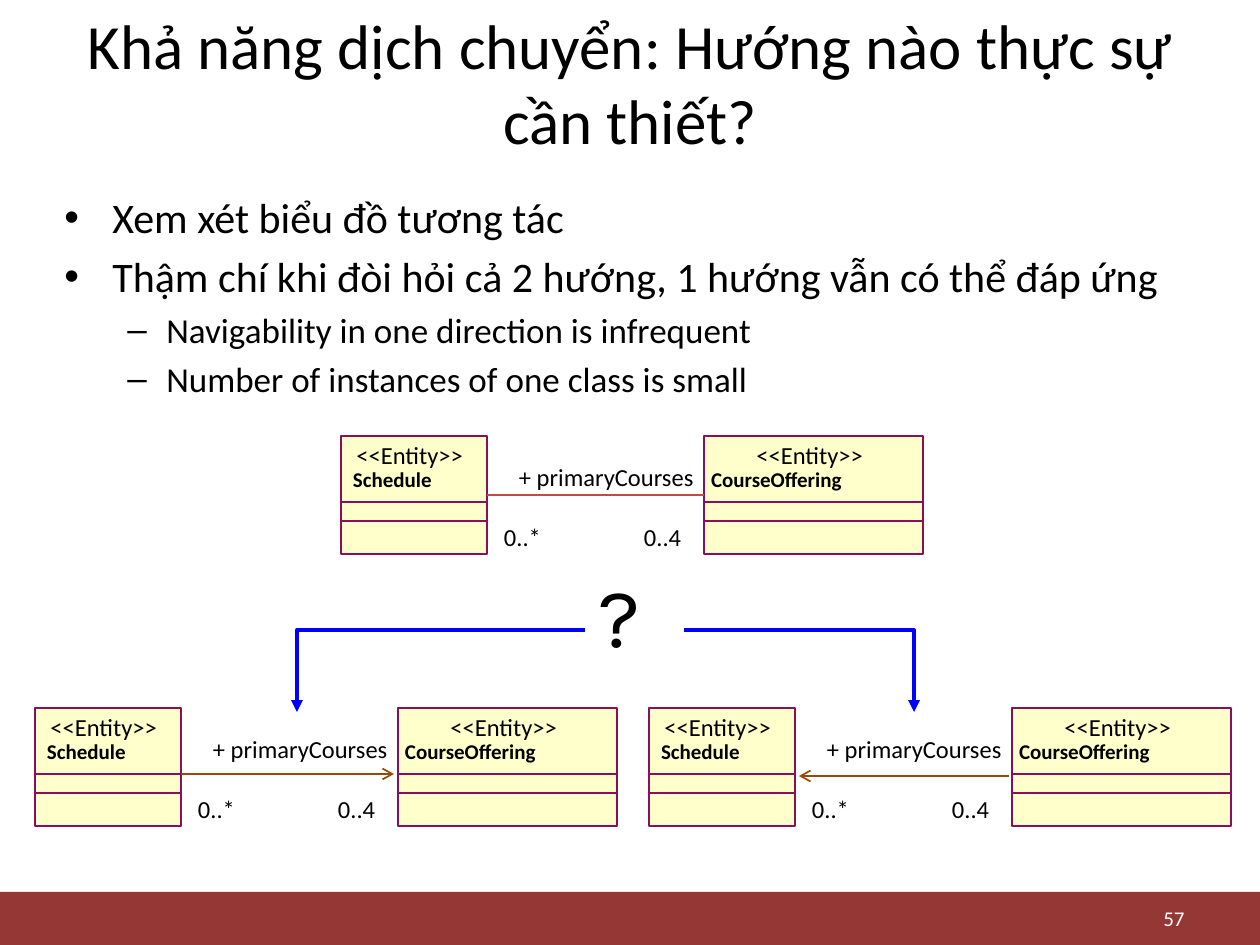
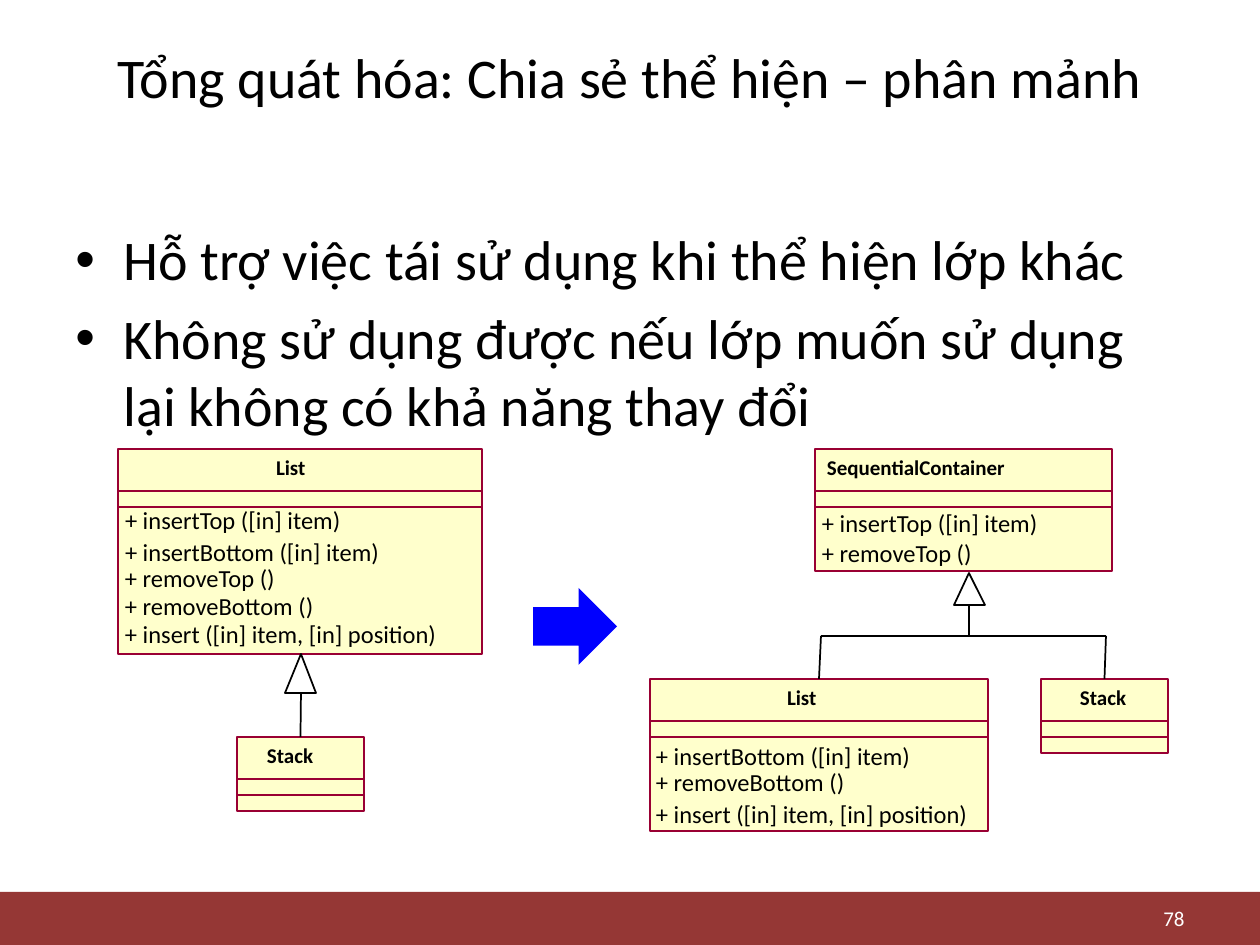
"""Build two slides on navigability and generalization in class diagrams."""
import lxml.etree
import pptx
import pptx.dml.color
import pptx.enum.shapes
import pptx.enum.text
import pptx.oxml.ns
import pptx.util

SCALE = 914400 / 126
BLACK, WHITE, BLUE, CREAM = "000000", "FFFFFF", "0000FF", "FFFFCC"
BAND, PLUM, CRIMSON, BROWN, ROSE = "953735", "8A0E5E", "990033", "984807", "BF4C48"
color = pptx.dml.color.RGBColor.from_string
qn = pptx.oxml.ns.qn
SHAPES = pptx.enum.shapes.MSO_SHAPE
ALIGN = pptx.enum.text.PP_ALIGN
GROW = pptx.enum.text.MSO_AUTO_SIZE.SHAPE_TO_FIT_TEXT
MIDDLE = {"vertical_anchor": pptx.enum.text.MSO_ANCHOR.MIDDLE}
TIGHT = {"margin_left": 0, "margin_top": 0, "margin_right": 0, "margin_bottom": 0,
         "word_wrap": False, "auto_size": GROW}
GROWING = {"auto_size": GROW}
NAME = {"size": pptx.util.Pt(12), "bold": True}
LABEL = {"size": pptx.util.Pt(14)}


def add_text(page, place, lines, font, frame, align=ALIGN.LEFT, ink=BLACK):
    box = page.shapes.add_textbox(*(round(value * SCALE) for value in place))
    for name, value in ({"word_wrap": True} | frame).items():
        setattr(box.text_frame, name, value)
    for index, line in enumerate(lines):
        para = box.text_frame.add_paragraph() if index else box.text_frame.paragraphs[0]
        para.alignment = align
        span = para.add_run()
        span.text = line
        for name, value in ({"name": "Calibri"} | font).items():
            setattr(span.font, name, value)
        span.font.color.rgb = color(ink)
    return box


def add_line(page, start, end, ink, width):
    line = page.shapes.add_connector(
        pptx.enum.shapes.MSO_CONNECTOR.STRAIGHT,
        *(round(value * SCALE) for value in (*start, *end)))
    line.line.color.rgb = color(ink)
    line.line.width = pptx.util.Pt(width)
    lxml.etree.SubElement(line.element.spPr, qn("a:effectLst"))
    return line


deck = pptx.Presentation()
deck.slide_width = pptx.util.Inches(10)
deck.slide_height = pptx.util.Inches(7.5)

contents = [
    ("Khả năng dịch chuyển: Hướng nào thực sự cần thiết?", 36, 38, "57",
     (52, 186, 1160, 696), 6,
     [("Xem xét biểu đồ tương tác", 0, 24),
      ("Thậm chí khi đòi hỏi cả 2 hướng, 1 hướng vẫn có thể đáp ứng", 0, 24),
      ("Navigability in one direction is infrequent", 1, 20),
      ("Number of instances of one class is small", 1, 20)]),
    ("Tổng quát hóa: Chia sẻ thể hiện – phân mảnh", 32, 32, "78",
     (63, 135, 1134, 709), 90,
     [("Hỗ trợ việc tái sử dụng khi thể hiện lớp khác", 0, 32),
      ("Không sử dụng được nếu lớp muốn sử dụng lại không có khả năng thay đổi", 0, 32)]),
]
bullet_styles = [("•", 48, 48), ("–", 102, 39)]

for title, title_size, title_top, number, place, inset, bullets in contents:
    page = deck.slides.add_slide(deck.slide_layouts[6])
    band = page.shapes.add_shape(
        SHAPES.RECTANGLE, *(round(value * SCALE) for value in (0, 892, 1260, 53)))
    band.shadow.inherit = False
    band.fill.solid()
    band.fill.fore_color.rgb = color(BAND)
    band.line.fill.background()
    add_text(page, (63, title_top, 1134, 88), [title],
             {"size": pptx.util.Pt(title_size)}, MIDDLE, ALIGN.CENTER)
    body = add_text(page, place, [text for text, level, size in bullets], {},
                    {"margin_top": round(inset * SCALE)})
    for index, (para, (text, level, size)) in enumerate(zip(body.text_frame.paragraphs, bullets)):
        mark, indent, hanging = bullet_styles[level]
        para.level = level
        properties = para._p.get_or_add_pPr()
        properties.set("marL", str(round(indent * SCALE)))
        properties.set("indent", str(round(-hanging * SCALE)))
        lxml.etree.SubElement(properties, qn("a:buFont"), typeface="Arial")
        lxml.etree.SubElement(properties, qn("a:buChar"), char=mark)
        para.space_before = pptx.util.Pt(size * 0.2 if index else 0)
        para.runs[0].font.size = pptx.util.Pt(size)
    add_text(page, (903, 901, 294, 34), [number], {"size": pptx.util.Pt(12)},
             MIDDLE, ALIGN.RIGHT, WHITE)

navigability, generalization = deck.slides

diagrams = [(341, 436), (35, 708), (649, 708)]
class_boxes = [
    (navigability, (left + shift, top, width, 118), (66, 85), PLUM, 0.75)
    for left, top in diagrams for shift, width in ((0, 146), (363, 219))]
class_boxes += [
    (generalization, place, (42, 58), CRIMSON, 1)
    for place in ((118, 449, 364, 205), (237, 737, 127, 74), (815, 449, 297, 122),
                  (650, 679, 338, 152), (1041, 679, 127, 74))]
classes = []
for page, place, dividers, ink, width in class_boxes:
    box = page.shapes.add_shape(SHAPES.RECTANGLE, *(round(value * SCALE) for value in place))
    box.shadow.inherit = False
    box.fill.solid()
    box.fill.fore_color.rgb = color(CREAM)
    box.line.color.rgb = color(ink)
    box.line.width = pptx.util.Pt(width)
    classes.append(box)
    left, top, span_width, height = place
    for divider in dividers:
        add_line(page, (left, top + divider), (left + span_width, top + divider), ink, width)

for left, top in diagrams:
    for shift, drop, width, text in ((12, 31, 79, "Schedule"), (370, 31, 132, "CourseOffering")):
        add_text(navigability, (left + shift, top + drop, width, 25), [text], NAME, TIGHT)
    for shift in (3, 403):
        add_text(navigability, (left + shift, top - 2, 145, 43), ["<<Entity>>"], LABEL, GROWING)
    for shift, text in ((163, "0..*"), (303, "0..4")):
        add_text(navigability, (left + shift, top + 86, 38, 30), [text], LABEL, TIGHT)
    add_text(navigability, (left + 131, top + 20, 234, 43), ["+ primaryCourses"],
             LABEL, GROWING, ALIGN.RIGHT)

association = add_line(navigability, (487, 495), (704, 495), ROSE, 0.75)
association.begin_connect(classes[0], 3)
association.end_connect(classes[1], 1)
forward = add_line(navigability, (181, 774), (394, 774), BROWN, 1)
backward = add_line(navigability, (799, 776), (1009, 776), BROWN, 1)
arrowheads = [(forward, "a:tailEnd", "arrow"), (backward, "a:headEnd", "arrow")]

add_text(navigability, (586, 557, 98, 115), ["?"],
         {"size": pptx.util.Pt(48), "name": "Karla"}, GROWING)

outlines = [
    (navigability, [(585, 630), (297, 630), (297, 712)], False, BLUE, 2.25),
    (navigability, [(684, 630), (914, 630), (914, 712)], False, BLUE, 2.25),
    (generalization, [(301, 654), (316, 693), (285, 693)], True, BLACK, 1),
    (generalization, [(969, 573), (985, 605), (954, 605)], True, BLACK, 1),
]
for page, points, closed, ink, width in outlines:
    builder = page.shapes.build_freeform(*points[0], scale=SCALE)
    builder.add_line_segments(points[1:], close=closed)
    outline = builder.convert_to_shape()
    outline.shadow.inherit = False
    outline.fill.background()
    outline.line.color.rgb = color(ink)
    outline.line.width = pptx.util.Pt(width)
    if not closed:
        arrowheads.append((outline, "a:tailEnd", "triangle"))

for shape, end, kind in arrowheads:
    lxml.etree.SubElement(shape.element.spPr.find(qn("a:ln")), qn(end), type=kind)

arrow = generalization.shapes.add_shape(
    SHAPES.RIGHT_ARROW, *(round(value * SCALE) for value in (533, 588, 84, 77)))
arrow.shadow.inherit = False
arrow.fill.solid()
arrow.fill.fore_color.rgb = color(BLUE)
arrow.line.fill.background()

for left, top, width, text in ((276, 455, 30, "List"), (267, 743, 47, "Stack"),
                               (827, 455, 180, "SequentialContainer"),
                               (787, 685, 30, "List"), (1080, 685, 47, "Stack")):
    add_text(generalization, (left, top, width, 25), [text], NAME, TIGHT)

member_widths = {
    "+ insertTop ([in] item)": 218,
    "+ insertBottom ([in] item)": 257,
    "+ removeTop ()": 151,
    "+ removeBottom ()": 190,
    "+ insert ([in] item, [in] position)": 314,
}
insert_top, insert_bottom, remove_top, remove_bottom, insert = member_widths
members = [
    (125, [(505, insert_top), (537, insert_bottom), (563, remove_top),
           (591, remove_bottom), (619, insert)]),
    (822, [(508, insert_top), (538, remove_top)]),
    (656, [(741, insert_bottom), (767, remove_bottom), (799, insert)]),
]
for left, rows in members:
    for top, text in rows:
        add_text(generalization, (left, top, member_widths[text], 30), [text], LABEL, TIGHT)

old_stack, new_list, new_stack = classes[7], classes[9], classes[10]
for child, start, end in ((old_stack, (301, 737), (301, 693)),
                          (new_list, (819, 679), (821, 636)),
                          (new_stack, (1105, 679), (1106, 636))):
    add_line(generalization, start, end, BLACK, 1).begin_connect(child, 0)
add_line(generalization, (821, 636), (1106, 636), BLACK, 1)
add_line(generalization, (969, 636), (969, 605), BLACK, 1)

deck.save("out.pptx")
